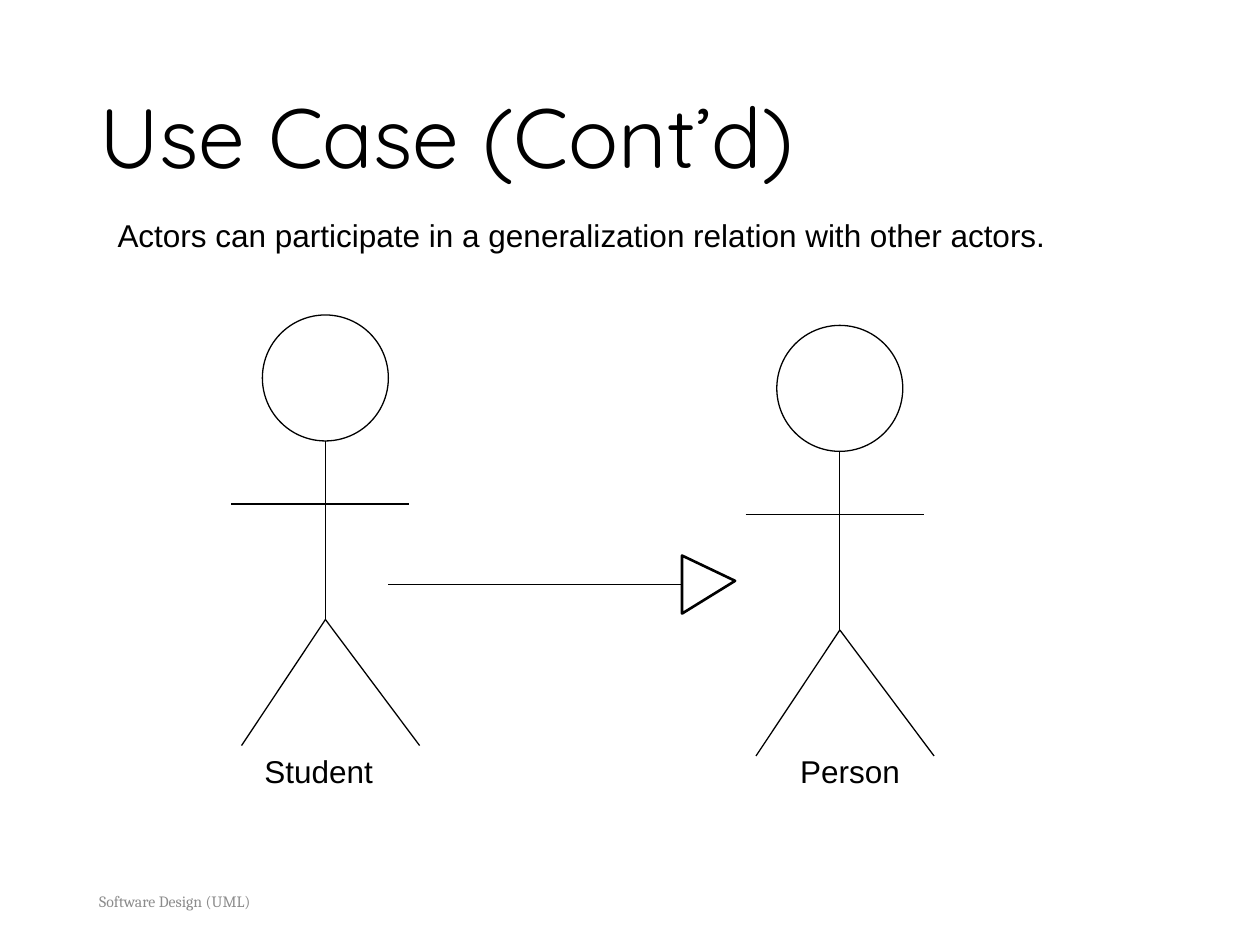
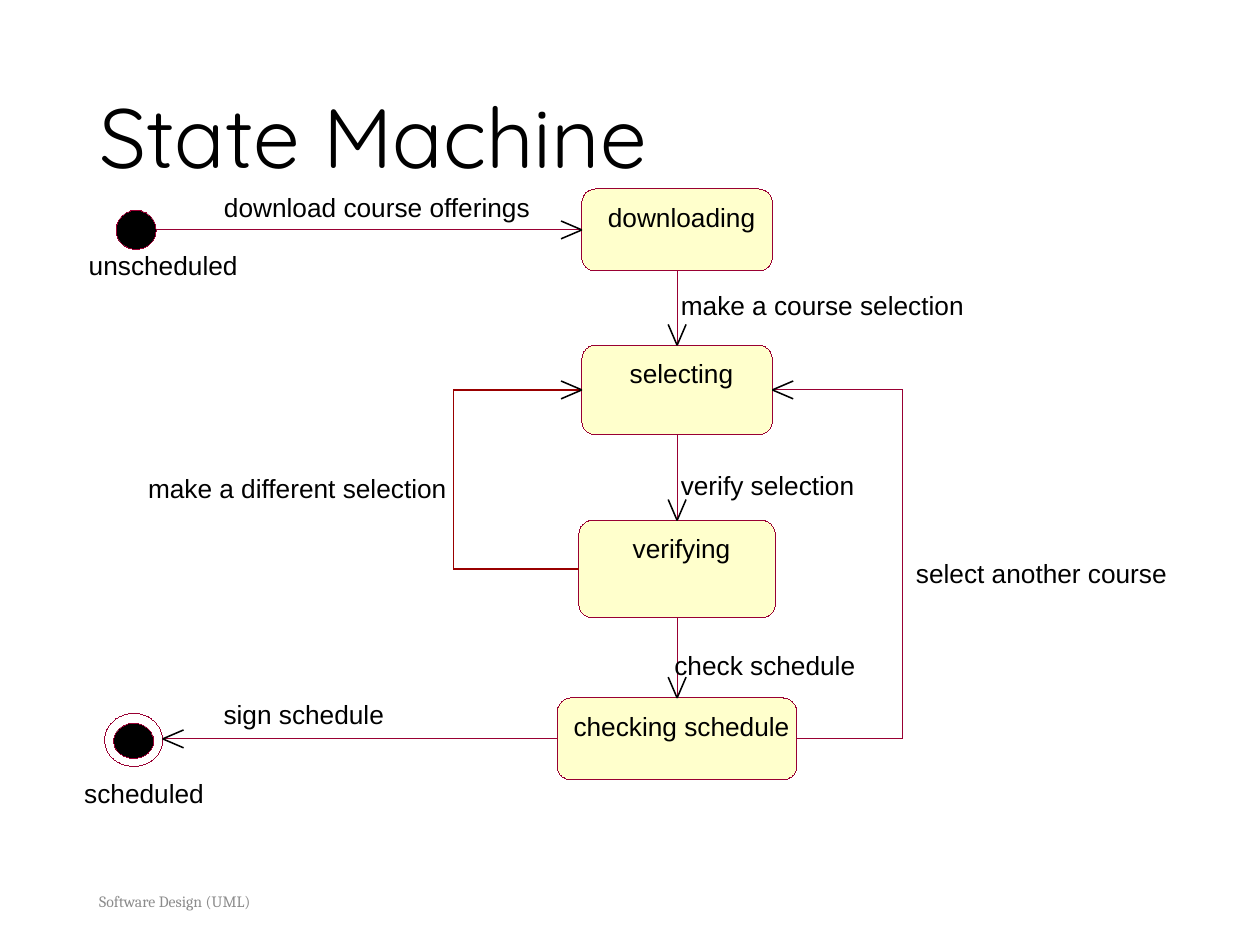
from dataclasses import dataclass
from itertools import pairwise

from lxml.etree import SubElement
from pptx import Presentation
from pptx.dml.color import RGBColor
from pptx.enum.shapes import MSO_CONNECTOR as Link, MSO_SHAPE as Kind
from pptx.enum.text import MSO_ANCHOR as Anchor, PP_ALIGN as Align
from pptx.oxml.ns import qn
from pptx.shapes.autoshape import Shape
from pptx.shapes.connector import Connector
from pptx.slide import Slide
from pptx.util import Cm, Pt

BLACK, WHITE, GRAY = "000000", "FFFFFF", "8C8C8C"
WINE, RED, CREAM = "990033", "990000", "FFFFCC"
TOP, LEFT, BOTTOM, RIGHT = range(4)
MID = 13.65
ROUND = 0.27
HAIR = 0.01
SLACK = 0.2

Point = tuple[float, float]
Area = tuple[float, float, float, float]


@dataclass
class Actor:
    """A stick figure: centre, top and name box, in cm."""
    name: str
    x: float
    y: float
    left: float
    width: float


@dataclass
class State:
    """A state box centred on the main column, in cm."""
    name: str
    top: float
    width: float
    height: float

    @property
    def left(self) -> float:
        """Left edge."""
        return MID - self.width / 2

    @property
    def right(self) -> float:
        """Right edge."""
        return MID + self.width / 2

    @property
    def level(self) -> float:
        """Height of the middle."""
        return self.top + self.height / 2


@dataclass
class Label:
    """A one-line label: left, top and width in cm."""
    text: str
    x: float
    y: float
    width: float


ACTORS = [
    Actor("Student", 6.56, 6.35, 5.08, 3.6),
    Actor("Person", 16.93, 6.56, 15.88, 2.97),
]
LIMBS = [
    ((0, 2.54), (0, 6.14)),
    ((0, 6.14), (1.9, 8.68)),
    ((0, 6.14), (-1.69, 8.68)),
    ((-1.9, 3.81), (1.69, 3.81)),
]
STATES = [
    State("downloading", 3.81, 3.84, 1.65),
    State("selecting", 6.96, 3.84, 1.8),
    State("verifying", 10.49, 3.96, 1.96),
    State("checking schedule", 14.07, 4.82, 1.65),
]
DOTS = [
    ((2.34, 4.24, 0.81, 0.79), BLACK),
    ((2.11, 14.38, 1.17, 1.07), None),
    ((2.29, 14.58, 0.81, 0.71), BLACK),
]
LABELS = [
    Label("download course offerings", 4.5, 3.86, 6.2),
    Label("make a course selection", 13.72, 5.84, 5.72),
    Label("verify selection", 13.72, 9.47, 3.51),
    Label("check schedule", 13.59, 13.08, 3.66),
    Label("select another course", 18.47, 11.23, 5.05),
    Label("make a different selection", 2.97, 9.53, 6.05),
    Label("unscheduled", 1.78, 5.03, 3.02),
    Label("scheduled", 1.7, 15.67, 2.41),
    Label("sign schedule", 4.5, 14.07, 3.25),
]


def color(text: str) -> RGBColor:
    """Turn a hex string into a colour."""
    return RGBColor.from_string(text)


def write(shape: Shape, text: str, *, size: float = 18, font: str = "Arial",
          ink: str = BLACK, align: Align = Align.LEFT,
          anchor: Anchor = Anchor.TOP, wrap: bool = True,
          space: float | None = None, inset: Area | None = None) -> None:
    """Put formatted text into a shape."""
    frame = shape.text_frame
    frame.word_wrap = wrap
    frame.vertical_anchor = anchor
    if inset:
        (frame.margin_left, frame.margin_top,
         frame.margin_right, frame.margin_bottom) = map(Cm, inset)
    para = frame.paragraphs[0]
    para.text = text
    para.alignment = align
    para.line_spacing = space
    para.font.size = Pt(size)
    para.font.name = font
    para.font.color.rgb = color(ink)


def add_text(slide: Slide, text: str, area: Area, **style) -> None:
    """Add a text box."""
    write(slide.shapes.add_textbox(*map(Cm, area)), text, **style)


def paint(shape: Shape, fill: str | None, ink: str, width: float) -> Shape:
    """Set fill and outline, without shadow."""
    shape.shadow.inherit = False
    if fill:
        shape.fill.solid()
        shape.fill.fore_color.rgb = color(fill)
    else:
        shape.fill.background()
    shape.line.color.rgb = color(ink)
    shape.line.width = Pt(width)
    return shape


def add_oval(slide: Slide, area: Area, fill: str | None = None,
             ink: str = BLACK, width: float = 0.75) -> Shape:
    """Add an ellipse."""
    oval = slide.shapes.add_shape(Kind.OVAL, *map(Cm, area))
    return paint(oval, fill, ink, width)


def add_line(slide: Slide, start: Point, end: Point, ink: str = BLACK,
             width: float = 0.75) -> Connector:
    """Add a straight line."""
    line = slide.shapes.add_connector(Link.STRAIGHT, *map(Cm, start + end))
    line.line.color.rgb = color(ink)
    line.line.width = Pt(width)
    SubElement(line.element.spPr, qn("a:effectLst"))
    return line


def add_free(slide: Slide, points: list[Point], fill: str | None, ink: str,
             width: float, close: bool) -> Shape:
    """Add an outline through the points."""
    first, *rest = [(Cm(x), Cm(y)) for x, y in points]
    pen = slide.shapes.build_freeform(*first)
    pen.add_line_segments(rest, close=close)
    return paint(pen.convert_to_shape(), fill, ink, width)


def add_head(slide: Slide, tip: Point, dx: int, dy: int) -> None:
    """Add an open arrowhead that points along dx, dy."""
    x, y = tip
    for side in (-0.18, 0.18):
        end = (x - 0.42 * dx + side * dy, y - 0.42 * dy + side * dx)
        add_line(slide, tip, end, width=0.88)


def add_page(deck: Presentation, title: str) -> Slide:
    """Add a slide with title and footer."""
    slide = deck.slides.add_slide(deck.slide_layouts[6])
    add_text(slide, "Software Design (UML)", (1.75, 17.65, 5.72, 1.02),
             size=9, font="Cambria", ink=GRAY, anchor=Anchor.MIDDLE)
    add_text(slide, title, (1.75, 1, 21.9, 3.68), size=48,
             font="Quicksand", anchor=Anchor.MIDDLE, space=0.9)
    return slide


def add_actor(slide: Slide, actor: Actor) -> None:
    """Draw a stick figure with its name."""
    x, y = actor.x, actor.y
    add_oval(slide, (x - 1.27, y, 2.54, 2.54))
    for (ax, ay), (bx, by) in LIMBS:
        add_line(slide, (x + ax, y + ay), (x + bx, y + by))
    add_text(slide, actor.name, (actor.left, 15.04, actor.width, 1.27))


def add_state(slide: Slide, state: State) -> Shape:
    """Draw a state box."""
    area = (state.left, state.top, state.width, state.height)
    box = slide.shapes.add_shape(Kind.ROUNDED_RECTANGLE, *map(Cm, area))
    box.adjustments[0] = ROUND / state.height
    paint(box, CREAM, WINE, HAIR)
    write(box, state.name, size=15, align=Align.CENTER, wrap=False,
          inset=(0.18, 0.16, 0, 0))
    return box


def add_label(slide: Slide, label: Label) -> None:
    """Add a label with room to stay on one line."""
    area = (label.x - SLACK, label.y, label.width + 2 * SLACK, 0.64)
    add_text(slide, label.text, area, size=15, align=Align.CENTER,
             wrap=False, inset=(0, 0, 0, 0))


def draw_case(deck: Presentation) -> None:
    """Build the actor slide."""
    slide = add_page(deck, "Use Case (Cont’d)")
    for actor in ACTORS:
        add_actor(slide, actor)
    add_free(slide, [(14.82, 11.71), (13.75, 11.2), (13.75, 12.37)],
             WHITE, BLACK, 1.5, True)
    add_line(slide, (13.75, 11.78), (7.82, 11.78))
    add_text(slide, "Actors can participate in a generalization relation "
             "with other actors.", (2.12, 3.6, 21.17, 2.29),
             anchor=Anchor.MIDDLE)


def draw_states(deck: Presentation) -> None:
    """Build the state slide."""
    slide = add_page(deck, "State Machine")
    for area, fill in DOTS:
        add_oval(slide, area, fill, WINE, HAIR)
    boxes = [add_state(slide, state) for state in STATES]
    load, pick, test, check = STATES

    for (a, b), (upper, lower) in zip(pairwise(STATES), pairwise(boxes)):
        tip = (MID, b.top)
        line = add_line(slide, (MID, a.top + a.height), tip, WINE, HAIR)
        line.begin_connect(upper, BOTTOM)
        line.end_connect(lower, TOP)
        add_head(slide, tip, 0, 1)

    tip = (load.left, load.level)
    enter = add_line(slide, (3.15, load.level), tip, WINE, HAIR)
    enter.end_connect(boxes[0], LEFT)
    add_head(slide, tip, 1, 0)

    tip = (3.28, check.level)
    leave = add_line(slide, (check.left, check.level), tip, WINE, HAIR)
    leave.begin_connect(boxes[3], LEFT)
    add_head(slide, tip, -1, 0)

    tip = (pick.right, pick.level)
    add_free(slide, [(check.right, check.level), (18.19, check.level),
                     (18.19, pick.level), tip], None, WINE, HAIR, False)
    add_head(slide, tip, -1, 0)

    tip = (pick.left, pick.level)
    route = [(test.left, test.level), (9.14, test.level),
             (9.14, pick.level), tip]
    back = [add_line(slide, a, b, RED) for a, b in pairwise(route)]
    back[0].begin_connect(boxes[2], LEFT)
    back[-1].end_connect(boxes[1], LEFT)
    add_head(slide, tip, 1, 0)

    for label in LABELS:
        add_label(slide, label)


def main() -> None:
    """Build and save the deck."""
    deck = Presentation()
    deck.slide_width, deck.slide_height = Cm(25.4), Cm(19.05)
    draw_case(deck)
    draw_states(deck)
    deck.save("out.pptx")


if __name__ == "__main__":
    main()
